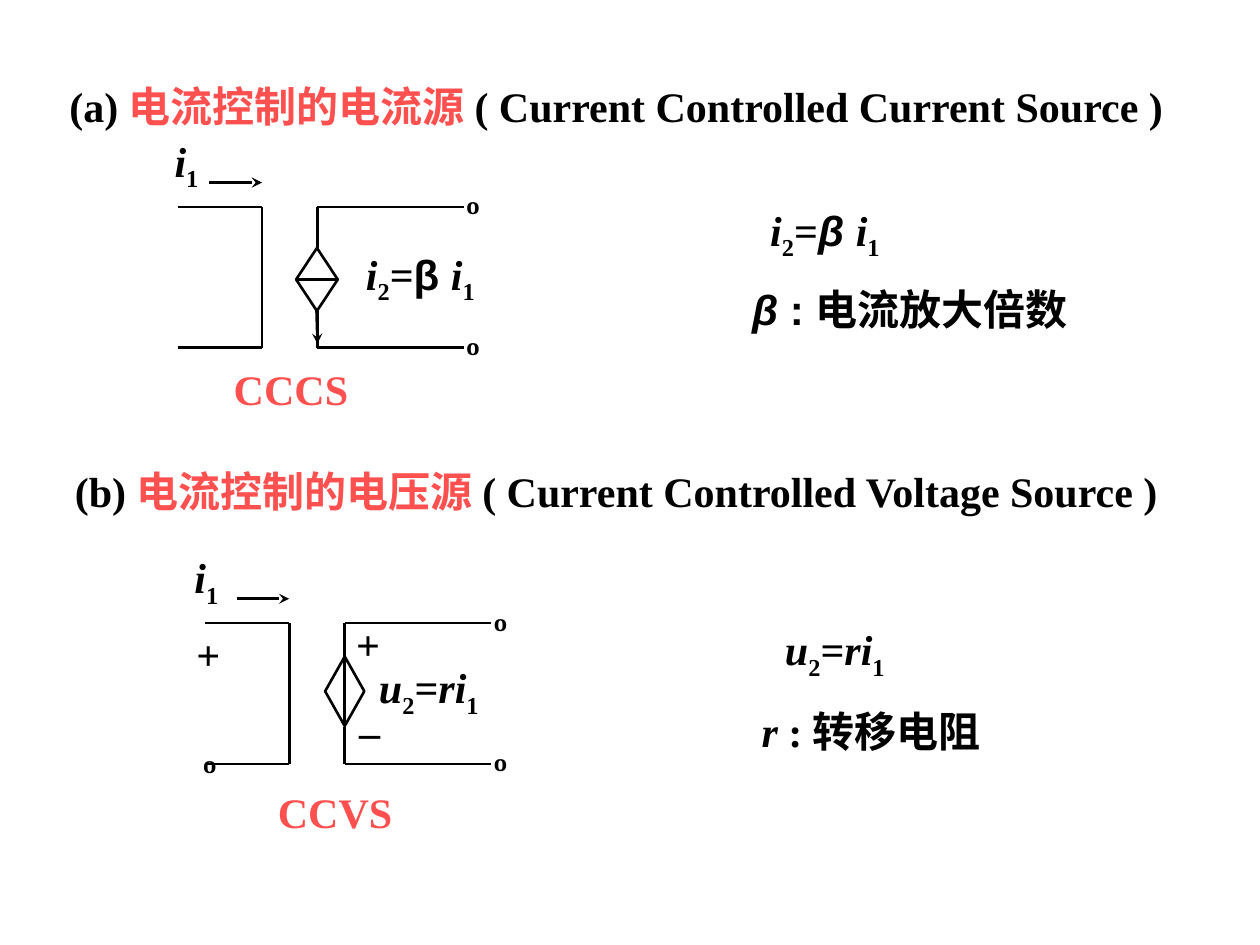
from lxml.etree import SubElement
from pptx import Presentation
from pptx.dml.color import RGBColor
from pptx.enum.shapes import MSO_CONNECTOR, MSO_SHAPE
from pptx.enum.text import MSO_ANCHOR, MSO_AUTO_SIZE, PP_ALIGN
from pptx.oxml.ns import qn
from pptx.util import Cm, Pt

ITALIC = {"italic": True}
SUB = {"baseline": -25}
GREEK = {"font": "Arial"}


def rgb(value):
    return RGBColor.from_string(value)


def add_run(p, text, font="Times New Roman", size=24, color="000000",
            bold=True, italic=False, baseline=0):
    r = p.add_run()
    r.text = text
    r.font.name = font
    r.font.size = Pt(size)
    r.font.bold = bold
    r.font.italic = italic
    r.font.color.rgb = rgb(color)
    if baseline:
        r._r.get_or_add_rPr().set("baseline", str(baseline * 1000))


class Board:
    """Holds the drawing style and the current slide."""

    ink, accent = "000000", "FF5050"
    line_width = Pt(1.5)
    text_height = 1.27

    def __init__(self, s):
        self.s = s

    def fill_text(self, sp, x, y, w, runs):
        """Place a text shape; each run is a string or (string, format)."""
        sp.left, sp.top, sp.width, sp.height = map(
            Cm, (x, y, w, self.text_height))
        tf = sp.text_frame
        tf.word_wrap = True
        tf.auto_size = MSO_AUTO_SIZE.SHAPE_TO_FIT_TEXT
        tf.vertical_anchor = MSO_ANCHOR.MIDDLE
        p = tf.paragraphs[0]
        p.alignment = PP_ALIGN.CENTER
        for run in runs:
            text, fmt = (run, {}) if isinstance(run, str) else run
            add_run(p, text, **fmt)

    def text(self, x, y, w, *runs):
        sp = self.s.shapes.add_textbox(0, 0, 0, 0)
        self.fill_text(sp, x, y, w, runs)

    def heading(self, y, mark, name, english, sp=None):
        sp = sp or self.s.shapes.add_textbox(0, 0, 0, 0)
        self.fill_text(sp, 0.64, y, 23.57, [
            mark + " ", (name + " ", {"color": self.accent}), f"( {english} )"])

    def line(self, x1, y1, x2, y2, arrow=False):
        c = self.s.shapes.add_connector(
            MSO_CONNECTOR.STRAIGHT, *map(Cm, (x1, y1, x2, y2)))
        c.line.color.rgb = rgb(self.ink)
        c.line.width = self.line_width
        if arrow:
            SubElement(c.line._get_or_add_ln(), qn("a:tailEnd"), type="stealth")
        SubElement(c._element.spPr, qn("a:effectLst"))

    def source(self, x, y, w, h, rotation=0):
        """Draw the diamond of a controlled source."""
        sp = self.s.shapes.add_shape(
            MSO_SHAPE.FLOWCHART_SORT, *map(Cm, (x, y, w, h)))
        sp.rotation = rotation
        sp.shadow.inherit = False
        sp.fill.background()
        sp.line.color.rgb = rgb(self.ink)
        sp.line.width = self.line_width

    def circuit(self, dx, dy):
        """Draw the wires, control current arrow and output terminals."""
        left, control, output, right = (x + dx for x in (3.58, 5.28, 6.4, 9.35))
        top, upper, lower, bottom = (y + dy for y in (4.17, 5, 6.27, 7.01))
        for y, inner in ((top, upper), (bottom, lower)):
            self.line(left, y, control, y)
            self.line(output, y, right, y)
            self.line(output, inner, output, y)
            self.text(right - 0.2, y - 0.49, 0.51, "º")
        self.line(control, top, control, bottom)
        self.line(control - 1.06, top - 0.49, control, top - 0.49, arrow=True)


def main():
    prs = Presentation()
    prs.slide_width, prs.slide_height = Cm(25.4), Cm(19.05)
    s = prs.slides.add_slide(prs.slide_layouts[5])
    board = Board(s)
    red = {"color": board.accent}
    i1 = [("i", ITALIC), ("1", SUB)]
    i2 = [("i", ITALIC), ("2", SUB), "="]
    u2 = [("u", ITALIC), ("2", SUB), "=", ("ri", ITALIC), ("1", SUB)]
    beta = ("β ", GREEK | ITALIC)

    # Current controlled current source
    board.heading(1.5, "(a)", "电流控制的电流源",
                  "Current Controlled Current Source", s.shapes.title)
    board.circuit(0, 0)
    board.source(5.97, 5, 0.84, 1.27)
    board.line(6.38, 6.25, 6.4, 6.93, arrow=True)
    board.text(3, 2.67, 1.52, *i1)
    board.text(6.99, 4.95, 2.97, *i2, ("β ", GREEK), *i1)
    board.text(4.06, 7.21, 3.61, ("CCCS", red))
    board.text(15.04, 4.06, 3.18, *i2, beta, *i1)
    board.text(14.35, 5.59, 7.98, beta, (": ", GREEK), "电流放大倍数")

    # Current controlled voltage source
    board.heading(9.25, "(b)", "电流控制的电压源",
                  "Current Controlled Voltage Source")
    board.circuit(0.55, 8.39)
    board.source(6.25, 13.54, 1.4, 0.79, rotation=270)
    board.text(3.84, 14.94, 0.51, "º")
    board.text(3.71, 12.55, 0.51, "+")
    board.text(6.93, 12.34, 0.64, "+")
    board.text(6.99, 13.82, 0.64, "_")
    board.text(3.4, 11.07, 1.52, *i1)
    board.text(7.16, 13.28, 2.97, *u2)
    board.text(4.95, 15.72, 3.61, ("CCVS", red))
    board.text(15.24, 12.52, 3.18, *u2)
    board.text(14.81, 14.1, 5.51, ("r ", ITALIC), ": 转移电阻")

    prs.save("out.pptx")


if __name__ == "__main__":
    main()
